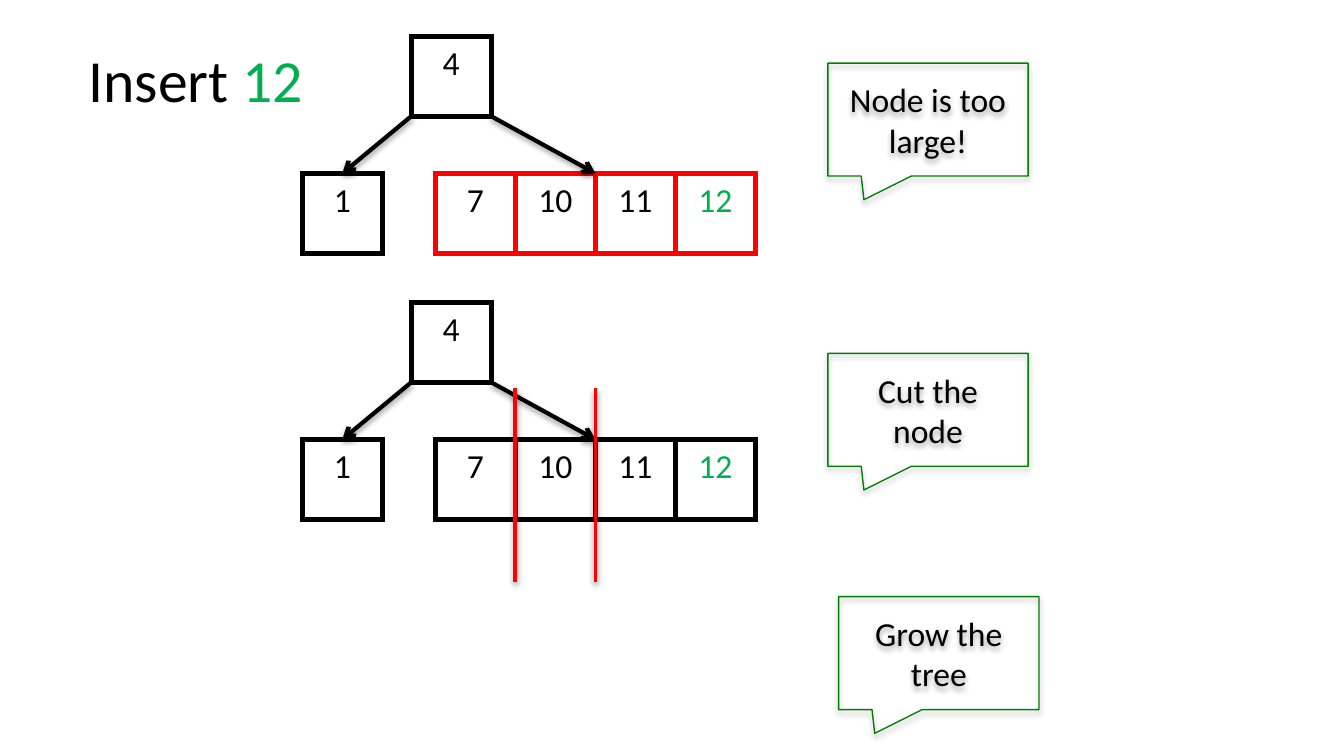
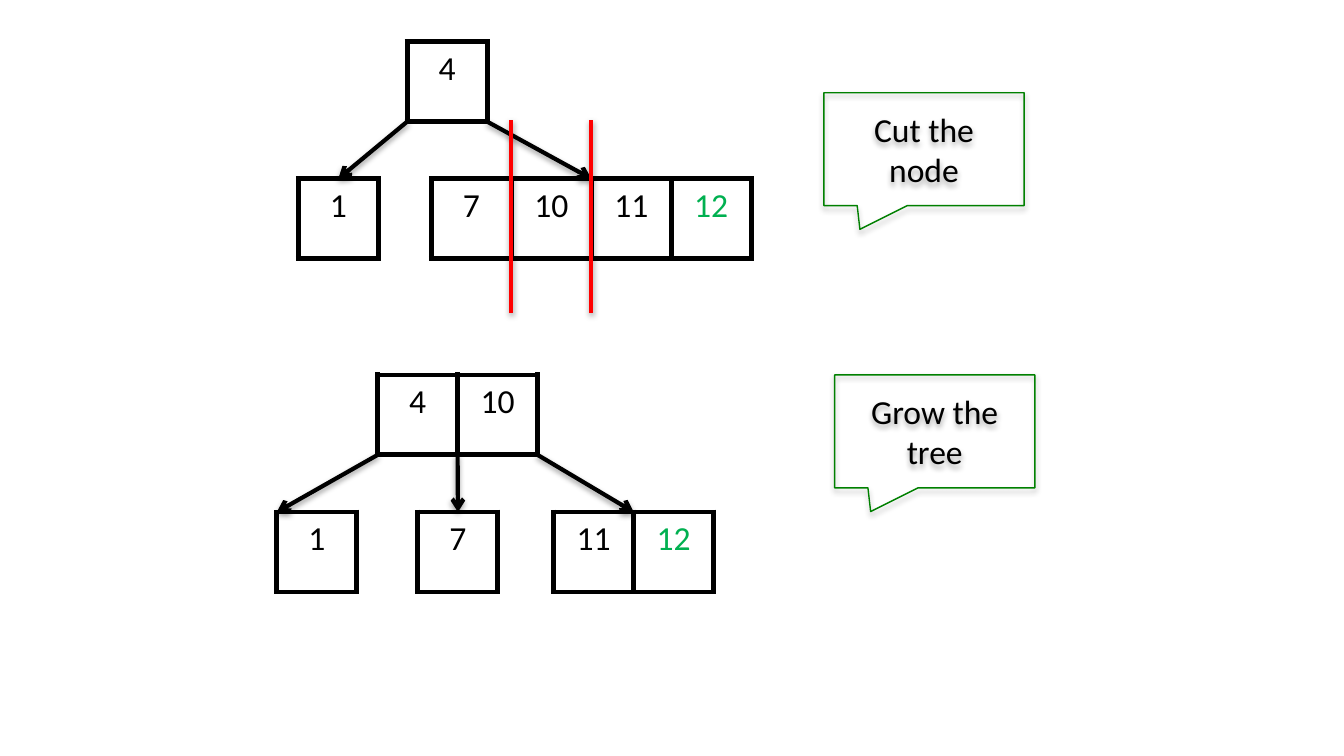
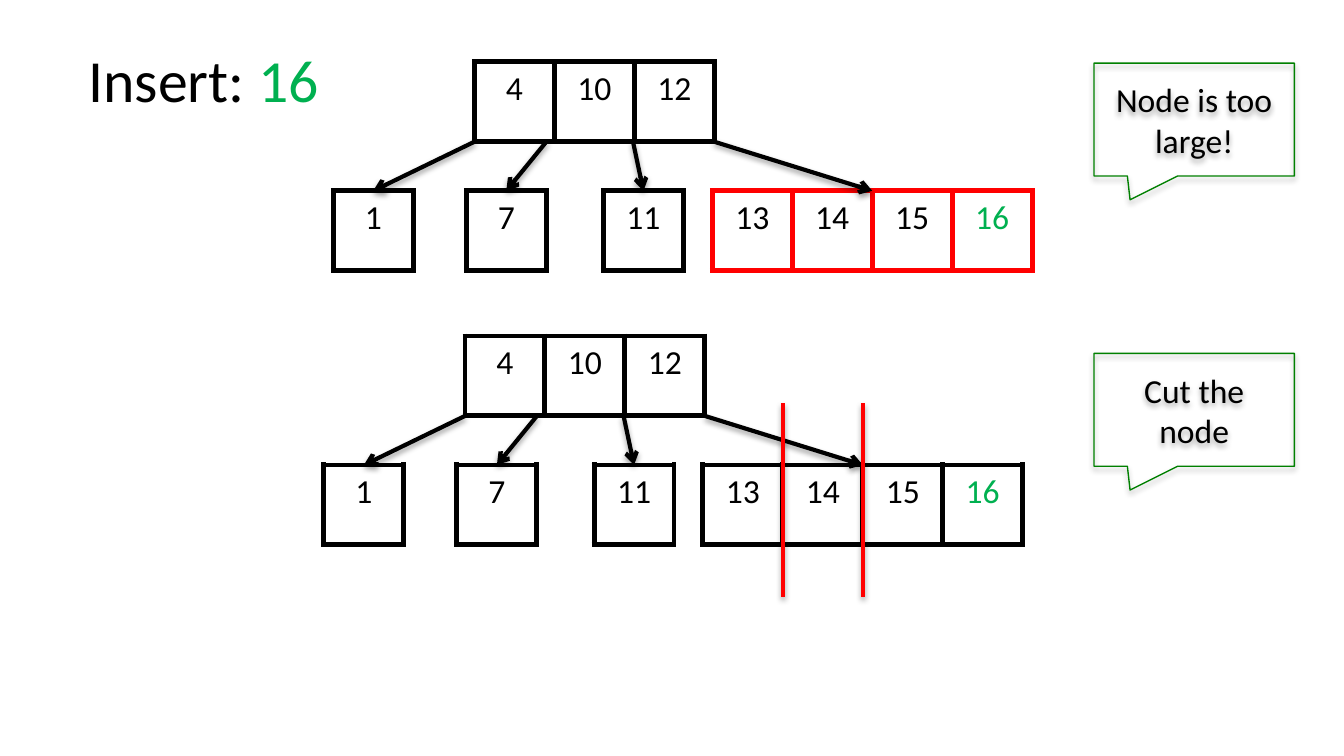
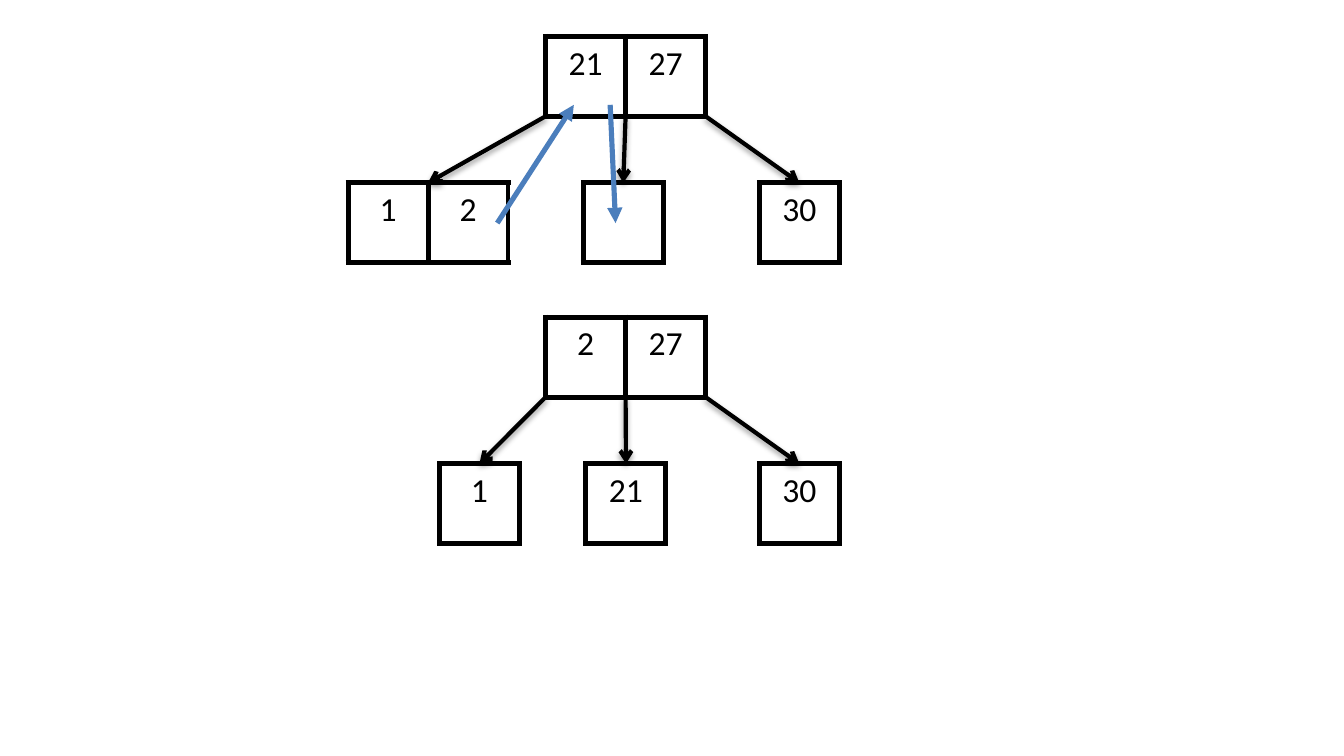
from dataclasses import dataclass

from lxml.etree import SubElement
from pptx import Presentation
from pptx.dml.color import RGBColor
from pptx.enum.shapes import MSO_CONNECTOR as Link, MSO_SHAPE as Preset
from pptx.enum.text import MSO_ANCHOR as Anchor, MSO_AUTO_SIZE as AutoSize, PP_ALIGN as Align
from pptx.oxml.ns import qn
from pptx.util import Emu, Inches, Pt

COLORS = {
    "ink": "000000",
    "new": "00B050",
    "overflow": "FF0000",
    "callout": "008000",
    "move": "4B7EBC",
}
FONT = "Calibri"
SLIDE_WIDTH = Inches(10)
SLIDE_HEIGHT = SLIDE_WIDTH * 9 // 16
COLUMNS = 100
CELL = 23.8 / 4
CUT_LENGTH = 14.4
BORDER = 3
BODY_SIZE = 18
TITLE_SIZE = 32
LINE_SHADOW = {"alpha": 38, "blur": 3.1, "distance": 1.6}
CALLOUT_SHADOW = {"alpha": 35, "blur": 3.1, "distance": 1.8}


@dataclass
class Box:
    left: float
    top: float
    width: float = CELL
    height: float = CELL

    def inner(self, column, row, width=CELL, height=CELL):
        return Box(self.left + column, self.top + row, width, height)

    def lengths(self):
        return [grid(value) for value in (self.left, self.top, self.width, self.height)]


@dataclass
class Node:
    column: float
    keys: str
    border: str = "ink"
    nudge: float = 0
    aim: float = 0.5

    def width(self):
        return CELL * len(self.cells())

    def cells(self):
        return self.keys.split(" ")


def grid(value):
    return Emu(round(value * SLIDE_WIDTH / COLUMNS))


def rgb(name):
    return RGBColor.from_string(COLORS[name])


def write(para, text, color="ink", size=BODY_SIZE):
    span = para.add_run()
    span.text = text
    for name, value in {"name": FONT, "size": Pt(size), "bold": False}.items():
        setattr(span.font, name, value)
    span.font.color.rgb = rgb(color)


def add_color(parent, name):
    fill = SubElement(parent, qn("a:solidFill"))
    SubElement(fill, qn("a:srgbClr"), val=COLORS[name])


def add_effects(shape, shadow=None):
    effects = SubElement(shape.element.spPr, qn("a:effectLst"))
    if shadow:
        outer = SubElement(
            effects, qn("a:outerShdw"), blurRad=str(Pt(shadow["blur"])),
            dist=str(Pt(shadow["distance"])), dir="5400000", rotWithShape="0")
        color = SubElement(outer, qn("a:srgbClr"), val=COLORS["ink"])
        SubElement(color, qn("a:alpha"), val=str(shadow["alpha"] * 1000))


def draw_line(page, start, end, color="ink", width=2.25, head=None, shadow=LINE_SHADOW):
    points = [grid(value) for value in (*start, *end)]
    line = page.shapes.add_connector(Link.STRAIGHT, *points)
    line.line.color.rgb = rgb(color)
    line.line.width = Pt(width)
    if head:
        SubElement(line.element.spPr.find(qn("a:ln")), qn("a:tailEnd"), type=head)
    add_effects(line, shadow)


def draw_title(page, box, label, key):
    title = page.shapes.add_textbox(*box.lengths())
    frame = title.text_frame
    for name, value in {"word_wrap": True, "auto_size": AutoSize.SHAPE_TO_FIT_TEXT}.items():
        setattr(frame, name, value)
    para = frame.paragraphs[0]
    write(para, label + " ", size=TITLE_SIZE)
    write(para, key, "new", TITLE_SIZE)


def draw_callout(page, column, row, text):
    callout = page.shapes.add_shape(
        Preset.RECTANGULAR_CALLOUT, *Box(column, row, 14.9, 8.4).lengths())
    callout.adjustments[0], callout.adjustments[1] = -0.32, 0.71
    callout.fill.background()
    callout.line.color.rgb = rgb("callout")
    callout.line.width = Pt(0.75)
    add_effects(callout, CALLOUT_SHADOW)
    frame = callout.text_frame
    for name, value in {"word_wrap": True, "vertical_anchor": Anchor.MIDDLE}.items():
        setattr(frame, name, value)
    frame.paragraphs[0].alignment = Align.CENTER
    write(frame.paragraphs[0], text)


def draw_node(page, box, node, new_key):
    keys = node.cells()
    table = page.shapes.add_table(1, len(keys), *box.lengths()).table
    for name in ("first_row", "horz_banding"):
        setattr(table, name, False)
    for cell, key in zip(table.iter_cells(), keys):
        properties = cell._tc.get_or_add_tcPr()
        for side in "LRTB":
            edge = SubElement(properties, qn("a:ln" + side), w=str(Pt(BORDER)))
            add_color(edge, node.border)
        cell.fill.background()
        para = cell.text_frame.paragraphs[0]
        para.alignment = Align.CENTER
        if key:
            write(para, key, "new" if key == new_key else "ink")


def draw_tree(page, box, root, leaves, drop, new_key=None):
    root_box = box.inner(root.column, 0, root.width())
    draw_node(page, root_box, root, new_key)
    step = root_box.width / (len(leaves) - 1)
    for index, leaf in enumerate(leaves):
        leaf_box = box.inner(leaf.column, drop, leaf.width())
        draw_node(page, leaf_box, leaf, new_key)
        start = root_box.left + index * step + leaf.nudge, root_box.top + CELL
        end = leaf_box.left + leaf.aim * leaf_box.width, leaf_box.top
        draw_line(page, start, end, head="arrow")


def draw_cuts(page, box, column, row):
    for index in (1, 2):
        x = box.left + column + index * CELL
        top = box.top + row
        draw_line(page, (x, top + CUT_LENGTH), (x, top), "overflow", 2)


def draw_small_tree(page, box, border="ink"):
    leaves = [Node(0, "1"), Node(9.9, "7 10 11 12", border)]
    draw_tree(page, box, Node(8.1, "4"), leaves, 10.2, "12")


def draw_large_tree(page, box, border="ink"):
    leaves = [
        Node(0, "1"),
        Node(9.9, "7", nudge=-0.6),
        Node(20.1, "11", nudge=-0.1),
        Node(28.2, "13 14 15 16", border),
    ]
    draw_tree(page, box, Node(10.5, "4 10 12"), leaves, 9.6, "16")


def build_insert_small(page):
    draw_title(page, Box(5.6, 2.7, 21, 6.4), "Insert", "12")
    draw_small_tree(page, Box(22.5, 2.7), "overflow")
    cut_tree = Box(22.5, 22.5)
    draw_small_tree(page, cut_tree)
    draw_cuts(page, cut_tree, 9.9, 6.4)
    draw_callout(page, 61.6, 4.7, "Node is too large!")
    draw_callout(page, 61.6, 26.3, "Cut the node")
    draw_callout(page, 62.4, 44.4, "Grow the tree")


def build_grow_small(page):
    cut_tree = Box(22.2, 3.1)
    draw_small_tree(page, cut_tree)
    draw_cuts(page, cut_tree, 9.9, 5.8)
    leaves = [Node(0, "1", aim=0), Node(10.5, "7"), Node(20.6, "11 12")]
    draw_tree(page, Box(20.6, 27.9), Node(7.5, "4 10"), leaves, 10.2, "12")
    draw_callout(page, 61.3, 6.9, "Cut the node")
    draw_callout(page, 62.1, 27.9, "Grow the tree")


def build_insert_large(page):
    draw_title(page, Box(5.6, 2.7, 23.7, 6.4), "Insert:", "16")
    draw_large_tree(page, Box(24.8, 4.6), "overflow")
    cut_tree = Box(24.1, 25)
    draw_large_tree(page, cut_tree)
    draw_cuts(page, cut_tree, 28.2, 5)
    draw_callout(page, 81.4, 4.7, "Node is too large!")
    draw_callout(page, 81.4, 26.3, "Cut the node")


def build_borrow_key(page):
    drop = 10.9
    leaves = [Node(0, "1 2"), Node(17.5, ""), Node(30.6, "30")]
    draw_tree(page, Box(25.9, 2.7), Node(14.7, "21 27"), leaves, drop)
    for start, end in (((45.4, 7.8), (45.8, 16.6)), ((37, 16.6), (42.7, 7.8))):
        draw_line(page, start, end, "move", 2.75, "triangle", None)
    leaves = [Node(6.8, "1"), Node(17.7, "21"), Node(30.6, "30")]
    draw_tree(page, Box(25.9, 23.6), Node(14.7, "2 27"), leaves, drop)


def main():
    deck = Presentation()
    deck.slide_width, deck.slide_height = SLIDE_WIDTH, SLIDE_HEIGHT
    for build in (build_insert_small, build_grow_small, build_insert_large, build_borrow_key):
        build(deck.slides.add_slide(deck.slide_layouts[6]))
    deck.save("out.pptx")


if __name__ == "__main__":
    main()
